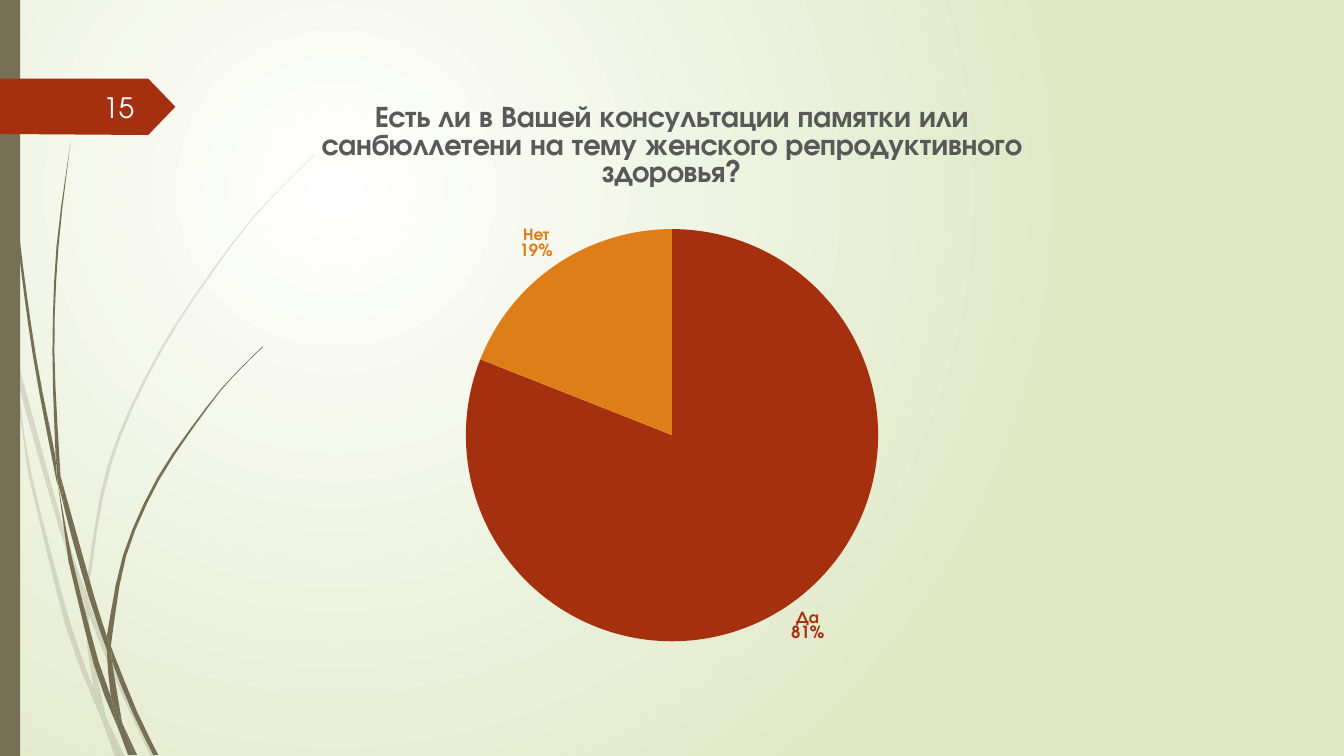
from dataclasses import dataclass
from math import ceil, dist

from lxml import etree
from pptx import Presentation
from pptx.chart.data import CategoryChartData
from pptx.dml.color import RGBColor as RGB
from pptx.enum.chart import XL_CHART_TYPE as Chart, XL_LABEL_POSITION as LabelPos
from pptx.enum.shapes import MSO_SHAPE as Shape
from pptx.enum.text import MSO_ANCHOR as Anchor, PP_ALIGN as Align
from pptx.oxml import parse_xml
from pptx.oxml.ns import nsdecls, qn
from pptx.util import Inches, Pt


@dataclass(frozen=True)
class Theme:
    font: str = "TeX Gyre Adventor"
    white: RGB = RGB(0xFF, 0xFF, 0xFF)
    meadow: RGB = RGB(0xDF, 0xE8, 0xC4)
    olive: RGB = RGB(0x76, 0x6F, 0x54)
    red: RGB = RGB(0xA5, 0x30, 0x10)
    orange: RGB = RGB(0xDE, 0x7E, 0x18)
    gray: RGB = RGB(0x59, 0x59, 0x59)
    black: RGB = RGB(0, 0, 0)
    number: RGB = RGB(0xFE, 0xFF, 0xFF)
    title_size: float = 21.3
    number_size: float = 20
    label_size: float = 12
    chart_size: float = 10


T = Theme()


def set_font(font, size, color, bold=False):
    values = {"name": T.font, "size": Pt(size), "bold": bold}
    for name, value in values.items():
        setattr(font, name, value)
    font.color.rgb = color


def draw_outline(edges, color, opacity=100):
    """Close a shape from edges, each one a smooth curve through its points."""
    outline = []
    for edge in edges:
        padded = [edge[0], *edge, edge[-1]]
        for a, b, c, d in zip(padded, padded[1:], padded[2:], padded[3:]):
            steps = ceil(dist(b, c) / 0.4) if len(edge) > 2 else 1
            for t in (i / steps for i in range(steps)):
                outline.append(tuple(Inches(
                    q + (r - p) * t / 2 + (2 * p - 5 * q + 4 * r - u) * t**2 / 2
                    + (3 * q - p - 3 * r + u) * t**3 / 2)
                    for p, q, r, u in zip(a, b, c, d)))
        outline.append(tuple(Inches(v) for v in edge[-1]))
    builder = s.shapes.build_freeform(*outline[0])
    builder.add_line_segments(outline[1:], close=True)
    sp = builder.convert_to_shape()
    sp.shadow.inherit = False
    sp.fill.solid()
    sp.fill.fore_color.rgb = color
    sp.line.fill.background()
    if opacity < 100:
        clr = sp.fill._xPr.find(".//" + qn("a:srgbClr"))
        etree.SubElement(clr, qn("a:alpha")).set("val", str(opacity * 1000))


prs = Presentation()
prs.slide_width, prs.slide_height = Inches(13.33), Inches(7.5)
s = prs.slides.add_slide(prs.slide_layouts[6])

# Background: radial gradient
bg = s.background.fill
bg.gradient()
for stop, color, position in zip(bg.gradient_stops, (T.white, T.meadow), (0, 1)):
    stop.color.rgb = color
    stop.position = position
lin = s.background._cSld.find(".//" + qn("a:lin"))
lin.getparent().replace(lin, parse_xml(
    f'<a:path {nsdecls("a")} path="circle">'
    '<a:fillToRect l="50000" t="50000" r="100000" b="100000"/></a:path>'))

# Grass blades: each piece has two edges, one out and one back
pale_blades = [
    ([(0.11, 3.5), (0.09, 3.22), (0, 2.82)], [(0, 2.99), (0.1, 3.44)]),
    ([(0.14, 3.45), (0.17, 3.76), (0.58, 5.22), (0.84, 5.99)],
     [(0.85, 5.86), (0.62, 5.2), (0.14, 3.45)]),
    ([(0.88, 5.96), (0.88, 6.1), (1.23, 6.94), (1.5, 7.51)],
     [(1.55, 7.51), (1.27, 6.92), (0.92, 6.07), (0.88, 5.96)]),
    ([(1.19, 7.51), (1.24, 7.51)], [(1.05, 7.11)]),
    ([(1.01, 7.14), (0.93, 6.83), (0.7, 6.19), (0.31, 4.69), (0.17, 3.76), (0.11, 3.5)],
     [(0.28, 4.7), (0.65, 6.21), (0.92, 6.93)]),
    ([(0.84, 5.99), (0.87, 6.46), (0.93, 6.83), (1.05, 7.11)],
     [(0.91, 6.46), (0.88, 6.1)]),
    ([(0.88, 5.96), (0.88, 5.84), (1.1, 4.62), (1.6, 3.49), (2.29, 2.45),
      (2.68, 1.98), (3.12, 1.54)],
     [(3.12, 1.53), (2.68, 1.97), (2.28, 2.44), (1.58, 3.48),
      (1.07, 4.61), (0.85, 5.84)]),
    ([(1.01, 7.14), (1.14, 7.51)], [(1.19, 7.51)]),
    ([(0.88, 6.1), (0.88, 5.96)], [(0.85, 5.86), (0.84, 5.99)]),
    ([(0.93, 6.83), (1.01, 7.14)], [(1.19, 7.51), (1.05, 7.11)]),
]
dark_blades = [
    ([(0.04, 0), (0.08, 1.09), (0.19, 2.32), (0.36, 3.55), (0.55, 4.53), (0.57, 4.81)],
     [(0.56, 4.77), (0.33, 3.55), (0.17, 2.33), (0.07, 1.1), (0.03, 0)]),
    ([(0.6, 4.72), (0.64, 5.05), (0.88, 5.92), (1.06, 6.45)],
     [(1.06, 6.31), (0.93, 5.9), (0.6, 4.72)]),
    ([(1.1, 6.41), (1.11, 6.56), (1.32, 7.08), (1.52, 7.49)],
     [(1.57, 7.49), (1.36, 7.06), (1.13, 6.49)]),
    ([(1.17, 7.22), (1.1, 6.91), (0.98, 6.57), (0.72, 5.56), (0.57, 4.77)],
     [(0.68, 5.57), (0.93, 6.59), (1.11, 7.08)]),
    ([(0.6, 4.72), (0.54, 3.49), (0.58, 2.45), (0.7, 1.41)],
     [(0.7, 1.41), (0.56, 2.45), (0.52, 3.49), (0.55, 4.49)]),
    ([(1.33, 7.49), (1.36, 7.49)], [(1.22, 7.19)]),
    ([(0.57, 4.77), (0.64, 5.05)], [(0.6, 4.72), (0.55, 4.49)]),
    ([(1.1, 6.41), (1.11, 6.33), (1.25, 5.52), (1.58, 4.76), (2.05, 4.06),
      (2.31, 3.74), (2.61, 3.44)],
     [(2.6, 3.44), (2.31, 3.73), (2.04, 4.05), (1.56, 4.74), (1.22, 5.51), (1.06, 6.31)]),
    ([(1.17, 7.22), (1.27, 7.49)], [(1.31, 7.49)]),
    ([(1.06, 6.45), (1.1, 6.91), (1.22, 7.19)], [(1.21, 7.16), (1.11, 6.56)]),
    ([(1.06, 6.45), (1.11, 6.56)], [(1.1, 6.41), (1.06, 6.31)]),
    ([(1.1, 6.91), (1.17, 7.22), (1.3, 7.49)], [(1.33, 7.49), (1.22, 7.19)]),
]
for blades, opacity in ((pale_blades, 20), (dark_blades, 100)):
    for blade in blades:
        draw_outline(blade, T.olive, opacity)

# Left bar
bar = s.shapes.add_shape(Shape.RECTANGLE, 0, 0, Inches(0.2), Inches(7.5))
bar.shadow.inherit = False
bar.fill.solid()
bar.fill.fore_color.rgb = T.olive
bar.line.fill.background()

# Slide number on its arrow tag
draw_outline([[(0, 0.78), (1.47, 0.78)], [(1.74, 1.06), (1.47, 1.34)], [(0, 1.33)]], T.red)
box = s.shapes.add_textbox(Inches(0.58), Inches(0.86), Inches(0.85), Inches(0.4))
tf = box.text_frame
tf.word_wrap = True
tf.vertical_anchor = Anchor.MIDDLE
p = tf.paragraphs[0]
p.alignment = Align.RIGHT
r = p.add_run()
r.text = "15"
set_font(r.font, T.number_size, T.number)

# Pie chart
question = ("Есть ли в Вашей консультации памятки или санбюллетени "
            "на тему женского репродуктивного здоровья?")
data = CategoryChartData()
data.categories = ["Да", "Нет"]
data.add_series(question, [81, 19])
chart = s.shapes.add_chart(Chart.PIE, Inches(2.22), Inches(0.79),
                           Inches(8.89), Inches(5.93), data).chart
set_font(chart.font, T.chart_size, T.black)
chart.has_legend = False
chart.has_title = True
chart.chart_title.include_in_layout = False
p = chart.chart_title.text_frame.paragraphs[0]
r = p.add_run()
r.text = question
set_font(r.font, T.title_size, T.gray, bold=True)

# Slices with category and percent labels in the slice colour
plot = chart.plots[0]
plot.vary_by_categories = True
for i, color in enumerate((T.red, T.orange)):
    point = plot.series[0].points[i]
    point.format.fill.solid()
    point.format.fill.fore_color.rgb = color
    point.format.line.fill.background()
    set_font(point.data_label.font, T.label_size, color, bold=True)
    point.data_label.position = LabelPos.OUTSIDE_END
for label in chart._chartSpace.iter(qn("c:dLbl")):
    for tag, shown in {"c:showVal": "0", "c:showCatName": "1", "c:showPercent": "1"}.items():
        label.find(qn(tag)).set("val", shown)
    etree.SubElement(label, qn("c:separator")).text = "\n"

# Place of the pie inside the chart frame
area = chart._chartSpace.find(".//" + qn("c:plotArea"))
for old in area.findall(qn("c:layout")):
    area.remove(old)
place = {"x": 0.27, "y": 0.25, "w": 0.46, "h": 0.69}
area.insert(0, parse_xml(
    f'<c:layout {nsdecls("c")}><c:manualLayout><c:layoutTarget val="inner"/>'
    '<c:xMode val="edge"/><c:yMode val="edge"/>'
    + "".join(f'<c:{k} val="{v}"/>' for k, v in place.items())
    + "</c:manualLayout></c:layout>"))

prs.save("out.pptx")
